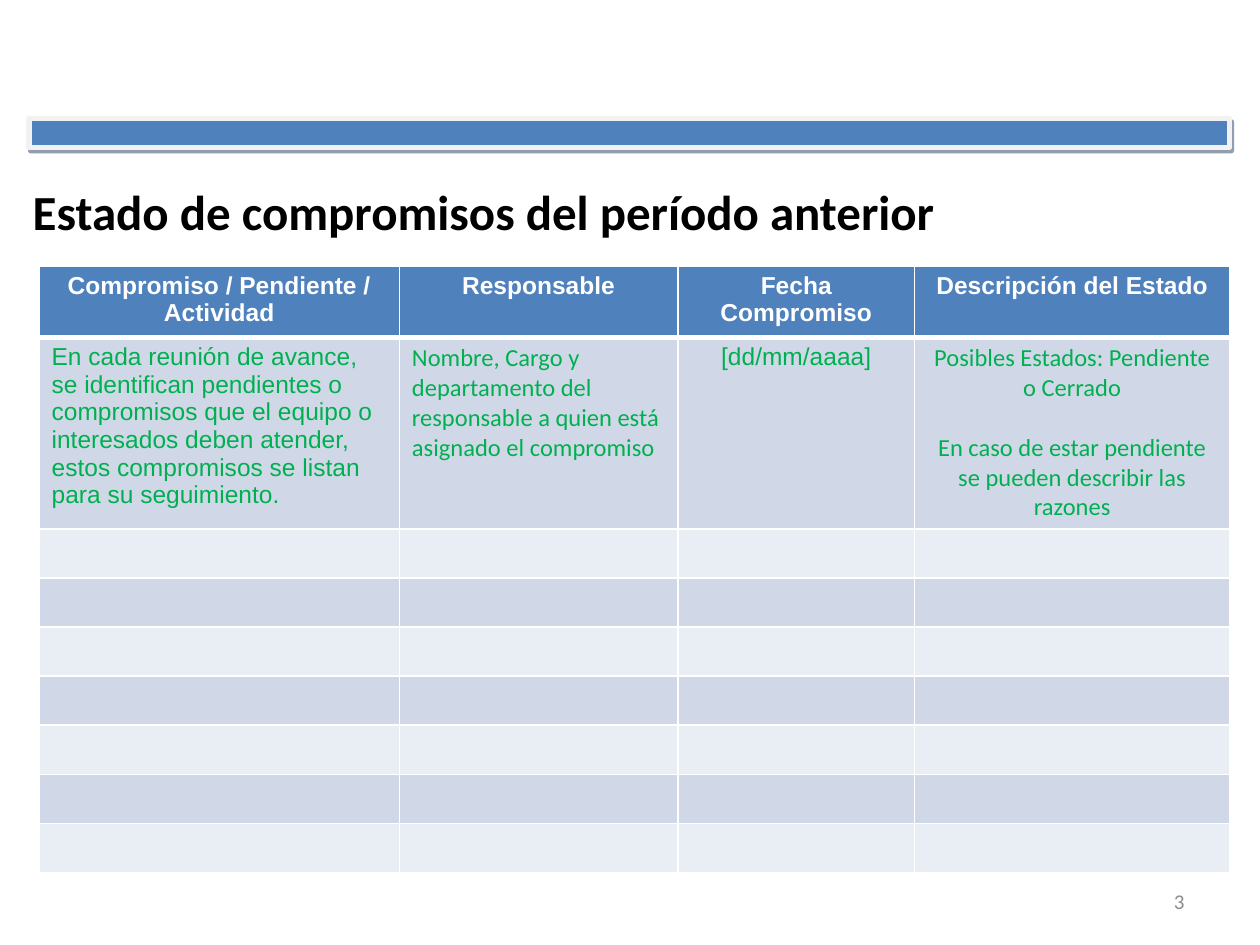
from lxml import etree
from pptx import Presentation
from pptx.dml.color import RGBColor
from pptx.enum.shapes import MSO_SHAPE
from pptx.enum.text import MSO_ANCHOR, PP_ALIGN
from pptx.oxml import parse_xml
from pptx.oxml.ns import nsdecls
from pptx.util import Inches, Pt

COLORS = {
    "blue": "4F81BD",
    "bar_edge": "F2F2F2",
    "bar_shadow": "243F60",
    "dark_band": "D0D8E8",
    "light_band": "E9EDF4",
    "green": "00B050",
    "white": "FFFFFF",
    "black": "000000",
    "gray": "8C8C8C",
}
TITLE = "Estado de compromisos del período anterior"
PAGE_NUMBER = "3"
HEADERS = [
    "Compromiso / Pendiente / Actividad",
    "Responsable",
    "Fecha Compromiso",
    "Descripción del Estado",
]
GUIDANCE = [
    ("En cada reunión de avance, se identifican pendientes o compromisos que el equipo "
     "o interesados deben atender, estos compromisos se listan para su seguimiento.",
     "Arial", PP_ALIGN.LEFT),
    ("Nombre, Cargo y departamento del responsable a quien está asignado el compromiso",
     "Calibri", PP_ALIGN.LEFT),
    ("[dd/mm/aaaa]", "Arial", PP_ALIGN.CENTER),
    ("Posibles Estados: Pendiente o Cerrado\n"
     "En caso de estar pendiente se pueden describir las razones",
     "Calibri", PP_ALIGN.CENTER),
]
COLUMN_WIDTHS = [2.86, 2.21, 1.88, 2.5]
EMPTY_ROWS = 7
ROW_HEIGHTS = [0.53, 1.52] + [0.39] * EMPTY_ROWS


def color(name):
    return RGBColor.from_string(COLORS[name])


def write(text_frame, text, size, font, color_name, bold=False, align=PP_ALIGN.LEFT):
    text_frame.text = text
    text_frame.word_wrap = True
    for paragraph in text_frame.paragraphs:
        paragraph.alignment = align
        for run in paragraph.runs:
            run.font.size = Pt(size)
            run.font.name = font
            run.font.bold = bold
            run.font.color.rgb = color(color_name)


def add_borders(cell, bottom_width):
    properties = cell._tc.get_or_add_tcPr()
    widths = {"lnL": 1, "lnR": 1, "lnT": 1, "lnB": bottom_width}
    for index, (side, width) in enumerate(widths.items()):
        border = parse_xml(
            f'<a:{side} {nsdecls("a")} w="{Pt(width)}"><a:solidFill>'
            f'<a:srgbClr val="{COLORS["white"]}"/></a:solidFill></a:{side}>')
        properties.insert(index, border)


presentation = Presentation()
presentation.slide_width = Inches(10)
presentation.slide_height = Inches(7.5)
slide = presentation.slides.add_slide(presentation.slide_layouts[5])

bar = slide.shapes.add_shape(
    MSO_SHAPE.RECTANGLE, Inches(0.23), Inches(0.94), Inches(9.53), Inches(0.23))
bar.shadow.inherit = False
bar.fill.solid()
bar.fill.fore_color.rgb = color("blue")
bar.line.color.rgb = color("bar_edge")
bar.line.width = Pt(3)
effects = bar._element.spPr.find("{*}effectLst")
effects.append(parse_xml(
    f'<a:outerShdw {nsdecls("a")} blurRad="0" dist="{Pt(2.2)}" dir="{63 * 60000}" '
    f'algn="ctr" rotWithShape="0"><a:srgbClr val="{COLORS["bar_shadow"]}">'
    '<a:alpha val="50000"/></a:srgbClr></a:outerShdw>'))

title = slide.shapes.title
title.left, title.top = Inches(0.16), Inches(1.48)
title.width, title.height = Inches(8.5), Inches(0.39)
write(title.text_frame, TITLE, 28, "Calibri", "black", bold=True)
title.text_frame.vertical_anchor = MSO_ANCHOR.MIDDLE

number_box = slide.shapes.add_textbox(Inches(7.17), Inches(6.95), Inches(2.33), Inches(0.4))
write(number_box.text_frame, PAGE_NUMBER, 12, "Calibri", "gray", align=PP_ALIGN.RIGHT)
number_box.text_frame.vertical_anchor = MSO_ANCHOR.MIDDLE

table = slide.shapes.add_table(
    len(ROW_HEIGHTS), len(COLUMN_WIDTHS), Inches(0.31), Inches(2.11),
    Inches(sum(COLUMN_WIDTHS)), Inches(sum(ROW_HEIGHTS))).table
for column, width in zip(table.columns, COLUMN_WIDTHS):
    column.width = Inches(width)

for row_index, height in enumerate(ROW_HEIGHTS):
    table.rows[row_index].height = Inches(height)
    if row_index == 0:
        fill_name = "blue"
    else:
        fill_name = "dark_band" if row_index % 2 else "light_band"
    for column_index in range(len(COLUMN_WIDTHS)):
        cell = table.cell(row_index, column_index)
        cell.fill.solid()
        cell.fill.fore_color.rgb = color(fill_name)
        add_borders(cell, 3 if row_index == 0 else 1)
        if row_index == 0:
            write(cell.text_frame, HEADERS[column_index], 14, "Arial", "white",
                  bold=True, align=PP_ALIGN.CENTER)
        elif row_index == 1:
            text, font, align = GUIDANCE[column_index]
            write(cell.text_frame, text, 14, font, "green", align=align)
            for paragraph in cell.text_frame.paragraphs[1:]:
                paragraph.space_before = Pt(17)
        else:
            cell.margin_top = cell.margin_bottom = Inches(0.03)

presentation.save("out.pptx")
